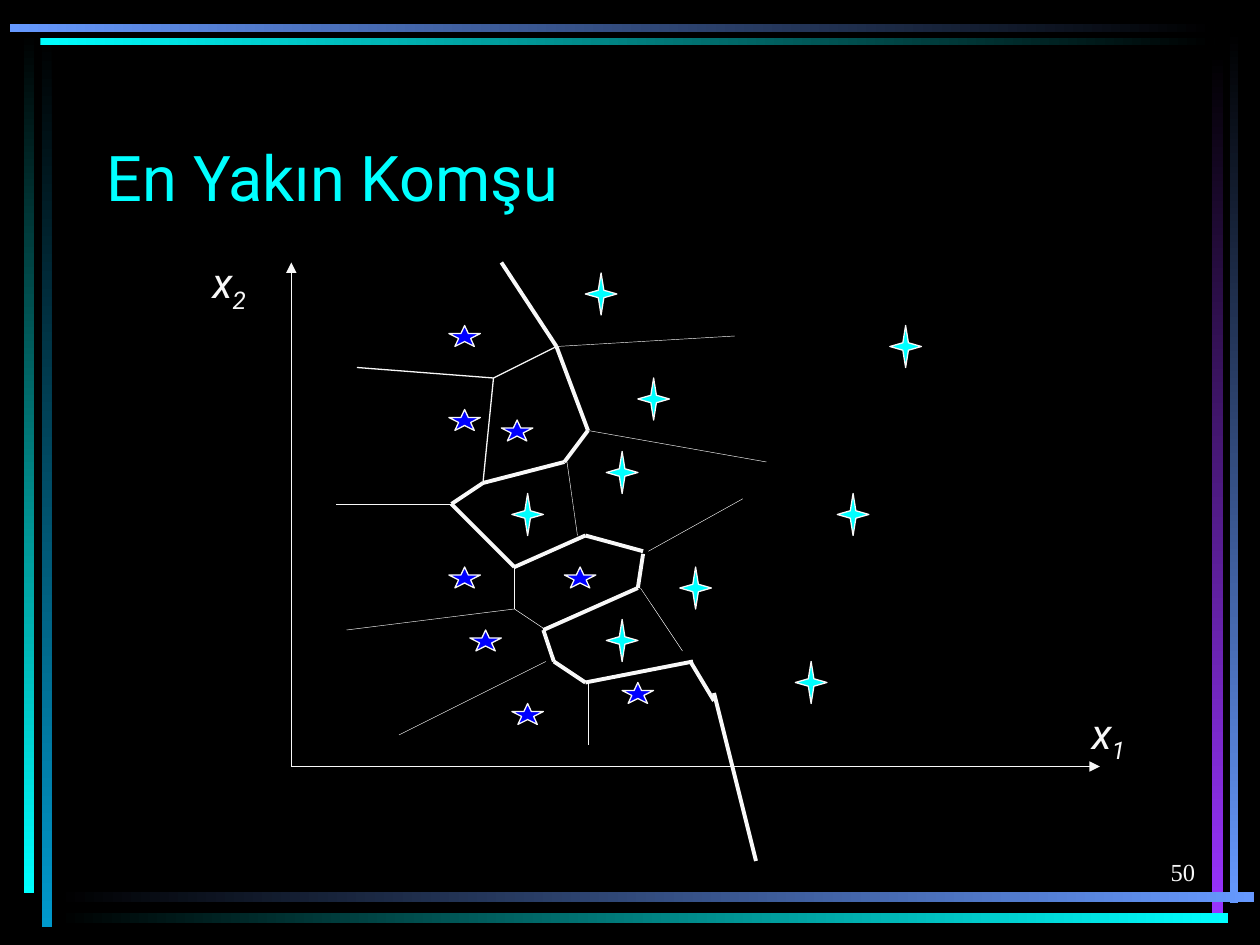
from dataclasses import dataclass
from itertools import pairwise

from lxml.etree import SubElement
from pptx import Presentation
from pptx.dml.color import RGBColor
from pptx.enum.shapes import MSO_CONNECTOR, MSO_SHAPE
from pptx.enum.text import MSO_ANCHOR, PP_ALIGN
from pptx.oxml.ns import qn
from pptx.util import Inches, Pt

UNITS_PER_INCH = 48  # the slide is a grid of 480 columns and 360 rows


@dataclass(frozen=True)
class Theme:
    background: str = "000000"
    ink: str = "F8F8F8"
    cyan: str = "00FFFF"
    blue: str = "0000FF"
    periwinkle: str = "6699FF"
    teal: str = "0099CC"
    violet: str = "9933FF"
    font: str = "Roboto"
    number_font: str = "Times New Roman"
    title_size: int = 36
    label_size: int = 24
    number_size: int = 14
    thick: float = 2.25
    normal: float = 0.75
    thin: float = 0.25


@dataclass(frozen=True)
class Box:
    """An area of the slide, in grid columns and rows."""
    left: float
    top: float
    width: float
    height: float

    def inner(self, column, row, width, height):
        return Box(self.left + column, self.top + row, width, height)

    def point(self, column, row):
        return length(self.left + column), length(self.top + row)

    def lengths(self):
        return [length(n) for n in (self.left, self.top, self.width, self.height)]


THEME = Theme()
SLIDE = Box(0, 0, 480, 360)
TITLE = Box(36, 32, 408, 52)
PLOT = Box(111, 100, 308, 192)
NUMBER = Box(360, 316, 100, 24)

# Left, top, width, height as shares of the slide, and the bright end's colour
VERTICAL_BARS = [
    (0.033, 0.037, 0.008, 0.944, THEME.teal),
    (0.019, 0.033, 0.008, 0.912, THEME.cyan),
    (0.976, 0.032, 0.007, 0.924, THEME.periwinkle),
    (0.962, 0.056, 0.009, 0.911, THEME.violet),
]
BOTTOM_BARS = [
    (0.045, 0.944, 0.95, 0.011, THEME.periwinkle),
    (0.045, 0.966, 0.93, 0.011, THEME.cyan),
]
TOP_BARS = [
    (0.032, 0.04, 0.932, 0.008, THEME.cyan),
    (0.008, 0.025, 0.956, 0.009, THEME.periwinkle),
]

# Centres of the two classes, in columns and rows of the plot
BLUE_STARS = [(74, 144), (66, 120), (86, 64), (132, 164),
              (110, 120), (66, 28), (90, 172), (66, 60)]
CYAN_STARS = [(138, 52), (118, 12), (90, 96), (126, 144), (154, 124),
              (234, 32), (126, 80), (198, 160), (214, 96)]

DECISION_BOUNDARY = [
    [(80, 0), (101, 32), (113, 64), (104, 76), (73, 84), (61, 92),
     (85, 116), (112, 104), (134, 110)],
    [(134, 111), (132, 124), (96, 140), (100, 152), (112, 160), (153, 152)],
    [(152, 152), (161, 167)],
    [(161, 164), (177, 228)],
]
NORMAL_EDGES = [[(101, 32), (77, 44), (73, 84)], [(77, 44), (25, 40)]]
THIN_EDGES = [
    [(85, 116), (85, 132), (97, 140)],
    [(85, 132), (21, 140)],
    [(61, 92), (17, 92)],
    [(97, 152), (41, 180)],
    [(113, 160), (113, 184)],
    [(109, 104), (105, 76)],
    [(169, 28), (101, 32)],
    [(181, 76), (113, 64)],
    [(172, 90), (136, 110)],
    [(149, 148), (133, 124)],
]


def length(units):
    return Inches(units / UNITS_PER_INCH)


def color(value):
    return RGBColor.from_string(value)


def add_bar(slide, area, bar, fade_from, fade_to, angle):
    left, top, width, height = bar[:4]
    box = area.inner(left * area.width, top * area.height,
                     width * area.width, height * area.height)
    shape = slide.shapes.add_shape(MSO_SHAPE.RECTANGLE, *box.lengths())
    shape.shadow.inherit = False
    shape.line.fill.background()
    shape.fill.gradient()
    shape.fill.gradient_angle = angle
    for stop, value in zip(shape.fill.gradient_stops, (fade_from, fade_to)):
        stop.color.rgb = color(value)


def add_frame(slide, area):
    dark = THEME.background
    for bar in VERTICAL_BARS:
        add_bar(slide, area, bar, dark, bar[-1], 270)
    for bar in BOTTOM_BARS:
        add_bar(slide, area, bar, dark, bar[-1], 0)
    for bar in TOP_BARS:
        add_bar(slide, area, bar, bar[-1], dark, 0)


def add_text(slide, box, runs, size, value, font=THEME.font, italic=False,
             align=PP_ALIGN.LEFT, anchor=MSO_ANCHOR.BOTTOM, wrap=True):
    """Add one paragraph; runs are (text, baseline shift in percent) pairs."""
    frame = slide.shapes.add_textbox(*box.lengths()).text_frame
    frame.word_wrap = wrap
    frame.vertical_anchor = anchor
    paragraph = frame.paragraphs[0]
    paragraph.alignment = align
    for text, shift in runs:
        run = paragraph.add_run()
        run.text = text
        run.font.name = font
        run.font.size = Pt(size)
        run.font.italic = italic
        run.font.color.rgb = color(value)
        if shift:
            run.font._element.set("baseline", str(shift * 1000))


def add_line(slide, area, start, end, width, arrow=False):
    connector = slide.shapes.add_connector(
        MSO_CONNECTOR.STRAIGHT, *area.point(*start), *area.point(*end))
    connector.line.color.rgb = color(THEME.ink)
    connector.line.width = Pt(width)
    if arrow:
        SubElement(connector.line._get_or_add_ln(), qn("a:tailEnd"), type="triangle")
    SubElement(connector._element.spPr, qn("a:effectLst"))


def add_star(slide, area, center, kind, width, height, value):
    column, row = center
    box = area.inner(column - width / 2, row - height / 2, width, height)
    shape = slide.shapes.add_shape(kind, *box.lengths())
    shape.shadow.inherit = False
    shape.fill.solid()
    shape.fill.fore_color.rgb = color(value)
    shape.line.color.rgb = color(THEME.ink)
    shape.line.width = Pt(THEME.normal)


def add_plot(slide, area):
    origin = (0, area.height)
    for tip in ((area.width, area.height), (0, 0)):
        add_line(slide, area, origin, tip, THEME.normal, arrow=True)
    for center in BLUE_STARS:
        add_star(slide, area, center, MSO_SHAPE.STAR_5_POINT, 12, 8, THEME.blue)
    for center in CYAN_STARS:
        add_star(slide, area, center, MSO_SHAPE.STAR_4_POINT, 12, 16, THEME.cyan)
    for index, column, row in (("1", 300, 167), ("2", -35, -4.5)):
        add_text(slide, area.inner(column, row, 22.5, 27), [("x", 0), (index, -25)],
                 THEME.label_size, THEME.ink, italic=True,
                 align=PP_ALIGN.CENTER, anchor=MSO_ANCHOR.TOP, wrap=False)
    for chains, width in ((DECISION_BOUNDARY, THEME.thick),
                          (NORMAL_EDGES, THEME.normal), (THIN_EDGES, THEME.thin)):
        for chain in chains:
            for start, end in pairwise(chain):
                add_line(slide, area, start, end, width)


def main():
    presentation = Presentation()
    presentation.slide_width = length(SLIDE.width)
    presentation.slide_height = length(SLIDE.height)
    slide = presentation.slides.add_slide(presentation.slide_layouts[6])
    slide.background.fill.solid()
    slide.background.fill.fore_color.rgb = color(THEME.background)
    add_frame(slide, SLIDE)
    add_text(slide, TITLE, [("En Yakın Komşu", 0)], THEME.title_size, THEME.cyan)
    add_plot(slide, PLOT)
    add_text(slide, NUMBER, [("50", 0)], THEME.number_size, THEME.ink,
             font=THEME.number_font, align=PP_ALIGN.RIGHT)
    presentation.save("out.pptx")


if __name__ == "__main__":
    main()
